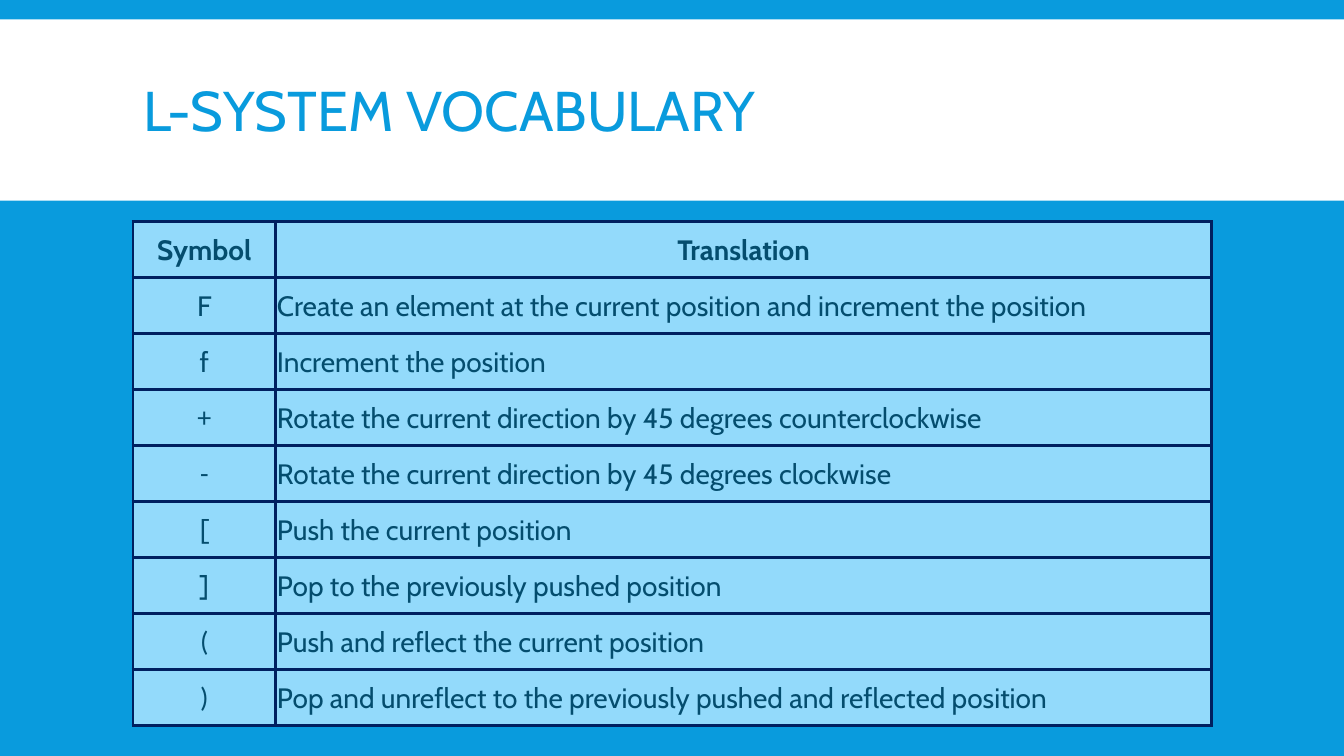
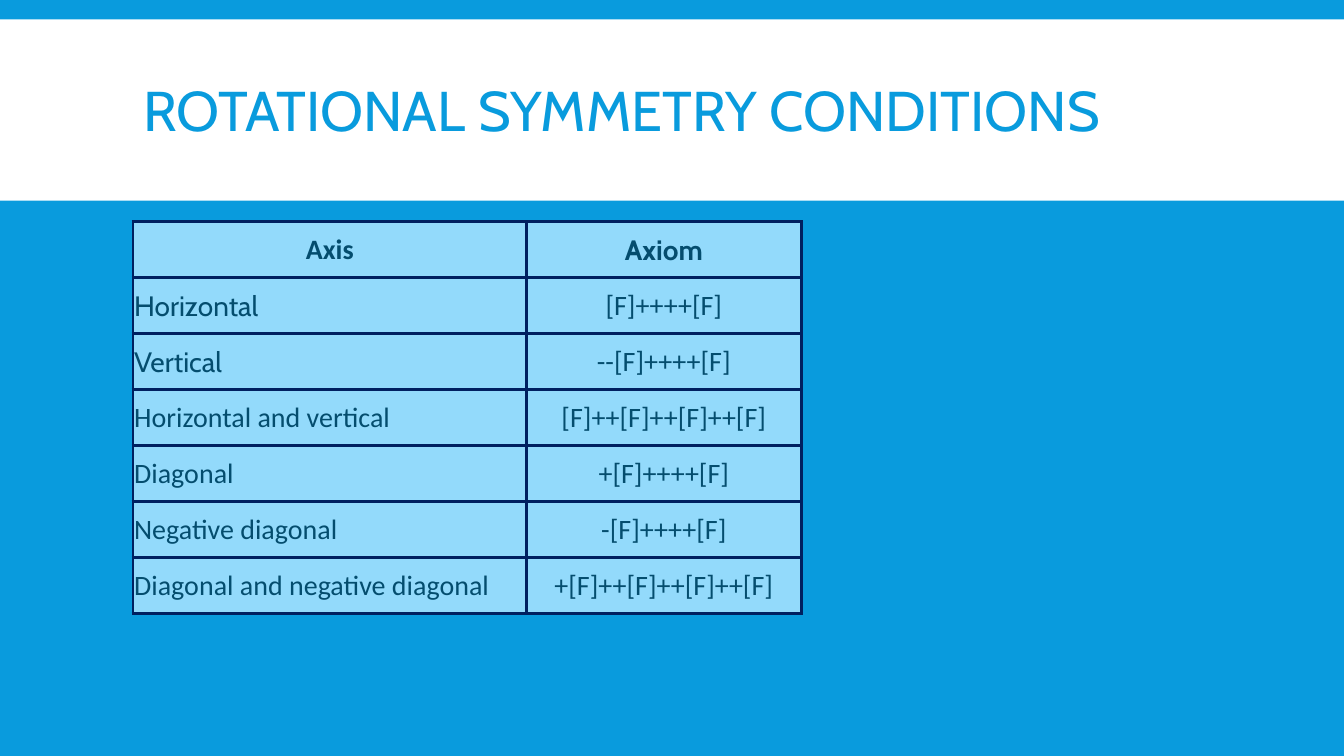
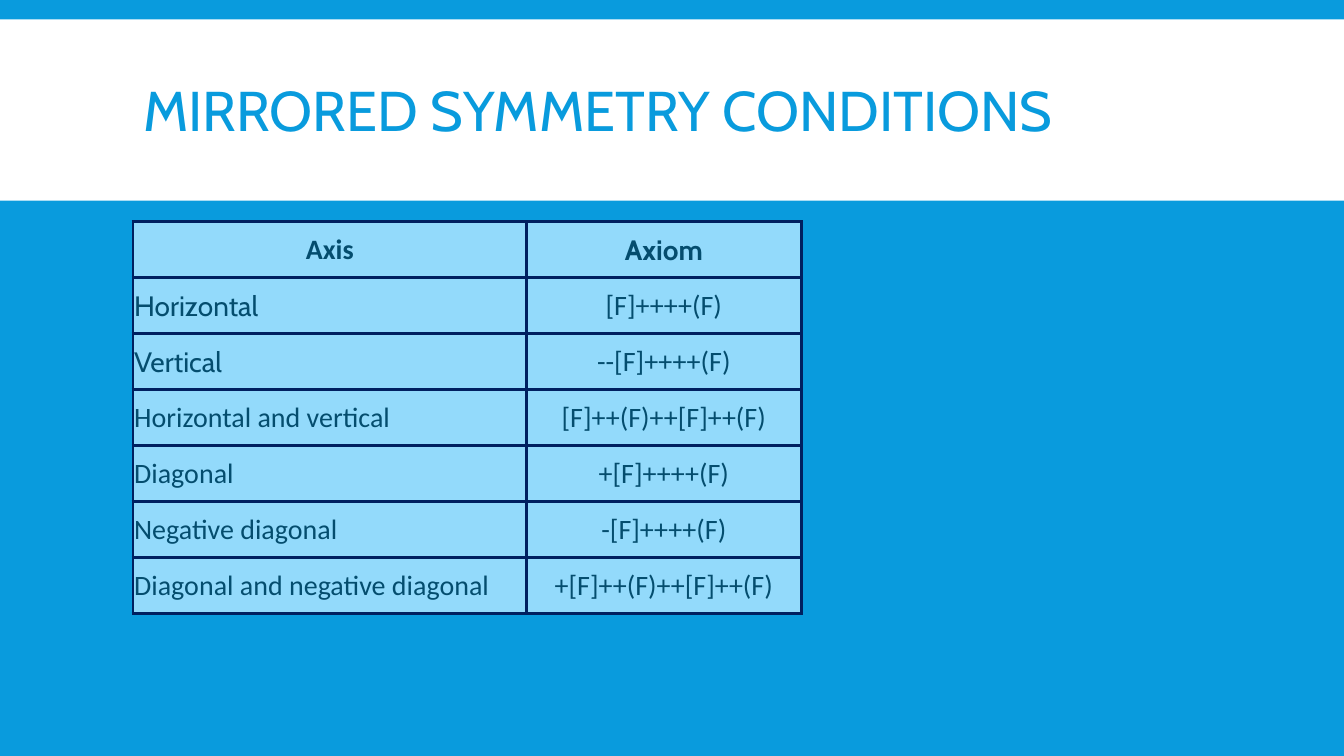
"""Build three slides of L-system tables under a shared title band."""
import pptx
import pptx.dml.color
import pptx.enum.shapes
import pptx.enum.text
import pptx.oxml
import pptx.oxml.ns
import pptx.util

Cm = pptx.util.Cm
ALIGN = pptx.enum.text.PP_ALIGN
MIDDLE = pptx.enum.text.MSO_ANCHOR.MIDDLE

BLUE, WHITE, PALE, NAVY, INK = "099BDD", "FFFFFF", "93DAFB", "002060", "044D6E"
HEAD, BODY = "Cabin", "Calibri"
WIDE, HIGH = 33.87, 19.05
BAND = (0, 0.49, WIDE, 4.57)
TITLE = (3.35, 0.79, 27.18, 4.19)
LEFT, TOP = 3.35, 5.59
ROW = 1.41
EDGE = 2.25

VOCAB = [
    ("Symbol", "Translation"),
    ("F", "Create an element at the current position and increment the position"),
    ("f", "Increment the position"),
    ("+", "Rotate the current direction by 45 degrees counterclockwise"),
    ("-", "Rotate the current direction by 45 degrees clockwise"),
    ("[", "Push the current position"),
    ("]", "Pop to the previously pushed position"),
    ("(", "Push and reflect the current position"),
    (")", "Pop and unreflect to the previously pushed and reflected position"),
]
AXES = ["Axis", "Horizontal", "Vertical", "Horizontal and vertical",
        "Diagonal", "Negative diagonal", "Diagonal and negative diagonal"]
ROTATE = ["Axiom", "[F]++++[F]", "--[F]++++[F]", "[F]++[F]++[F]++[F]",
          "+[F]++++[F]", "-[F]++++[F]", "+[F]++[F]++[F]++[F]"]
MIRROR = ["Axiom", "[F]++++(F)", "--[F]++++(F)", "[F]++(F)++[F]++(F)",
          "+[F]++++(F)", "-[F]++++(F)", "+[F]++(F)++[F]++(F)"]
SIGNS = {"+", "-", "(", ")"}
NAMES = {"Axiom", "Horizontal", "Vertical"}


def color(code):
    """Turn a hex string into a colour."""
    return pptx.dml.color.RGBColor.from_string(code)


def paint(fill, code):
    """Make a fill solid in one colour."""
    fill.solid()
    fill.fore_color.rgb = color(code)


def style(para, face, size, code, bold=False):
    """Format every run of a paragraph."""
    for run in para.runs:
        run.font.name = face
        run.font.size = pptx.util.Pt(size)
        run.font.bold = bold
        run.font.color.rgb = color(code)


def place(shape, box):
    """Move a shape to a box given in centimetres."""
    shape.left, shape.top, shape.width, shape.height = map(Cm, box)


def add_band(slide, master):
    """Draw the title band and hand it to the master."""
    band = slide.shapes.add_shape(
        pptx.enum.shapes.MSO_SHAPE.RECTANGLE, *map(Cm, BAND))
    band.shadow.inherit = False
    paint(band.fill, WHITE)
    band.line.fill.background()
    master.shapes.element.insert(2, band.element)


def add_title(slide, text):
    """Fill and format the title placeholder."""
    title = slide.shapes.title
    place(title, TITLE)
    frame = title.text_frame
    frame.text = text
    frame.vertical_anchor = MIDDLE
    para = frame.paragraphs[0]
    para.alignment = ALIGN.LEFT
    para.line_spacing = 0.85
    style(para, HEAD, 40, BLUE)


def add_edges(cell):
    """Rule all four sides of a cell."""
    props = cell._tc.get_or_add_tcPr()
    for spot, side in enumerate("LRTB"):
        props.insert(spot, pptx.oxml.parse_xml(
            f'<a:ln{side} {pptx.oxml.ns.nsdecls("a")} w="{pptx.util.Pt(EDGE)}">'
            f'<a:solidFill><a:srgbClr val="{NAVY}"/></a:solidFill></a:ln{side}>'))


def fill_cell(cell, text, face, bold, align):
    """Write and format one table cell."""
    cell.text_frame.text = text
    cell.vertical_anchor = MIDDLE
    cell.margin_left = cell.margin_right = cell.margin_top = Cm(0.03)
    cell.margin_bottom = 0
    para = cell.text_frame.paragraphs[0]
    para.alignment = align
    style(para, face, 20, INK, bold)
    paint(cell.fill, PALE)
    add_edges(cell)


def add_grid(slide, rows, widths, faces, mid):
    """Draw a table whose column mid is centred, with a centred bold header."""
    rows = list(rows)
    box = (LEFT, TOP, sum(widths), ROW * len(rows))
    grid = slide.shapes.add_table(len(rows), len(widths), *map(Cm, box)).table
    grid.first_row = grid.horz_banding = False
    for col, width in zip(grid.columns, widths):
        col.width = Cm(width)
    for r, row in enumerate(rows):
        grid.rows[r].height = Cm(ROW)
        for c, text in enumerate(row):
            align = ALIGN.CENTER if r == 0 or c == mid else ALIGN.LEFT
            fill_cell(grid.cell(r, c), text, faces(text), r == 0, align)


def vocab_face(text):
    """Pick the font of a vocabulary cell."""
    return BODY if text in SIGNS else HEAD


def axiom_face(text):
    """Pick the font of an axiom cell."""
    return HEAD if text in NAMES else BODY


def main():
    """Build and save the deck."""
    deck = pptx.Presentation()
    deck.slide_width, deck.slide_height = Cm(WIDE), Cm(HIGH)
    master = deck.slide_master
    paint(master.background.fill, BLUE)
    pages = [
        ("L-SYSTEM VOCABULARY", VOCAB, (3.6, 23.58), vocab_face, 0),
        ("ROTATIONAL SYMMETRY CONDITIONS", zip(AXES, ROTATE), (9.92, 6.92),
         axiom_face, 1),
        ("MIRRORED SYMMETRY CONDITIONS", zip(AXES, MIRROR), (9.92, 6.92),
         axiom_face, 1),
    ]
    for page, (title, *table) in enumerate(pages):
        slide = deck.slides.add_slide(deck.slide_layouts[5])
        if page == 0:
            add_band(slide, master)
        add_title(slide, title)
        add_grid(slide, *table)
    deck.save("out.pptx")


if __name__ == "__main__":
    main()
